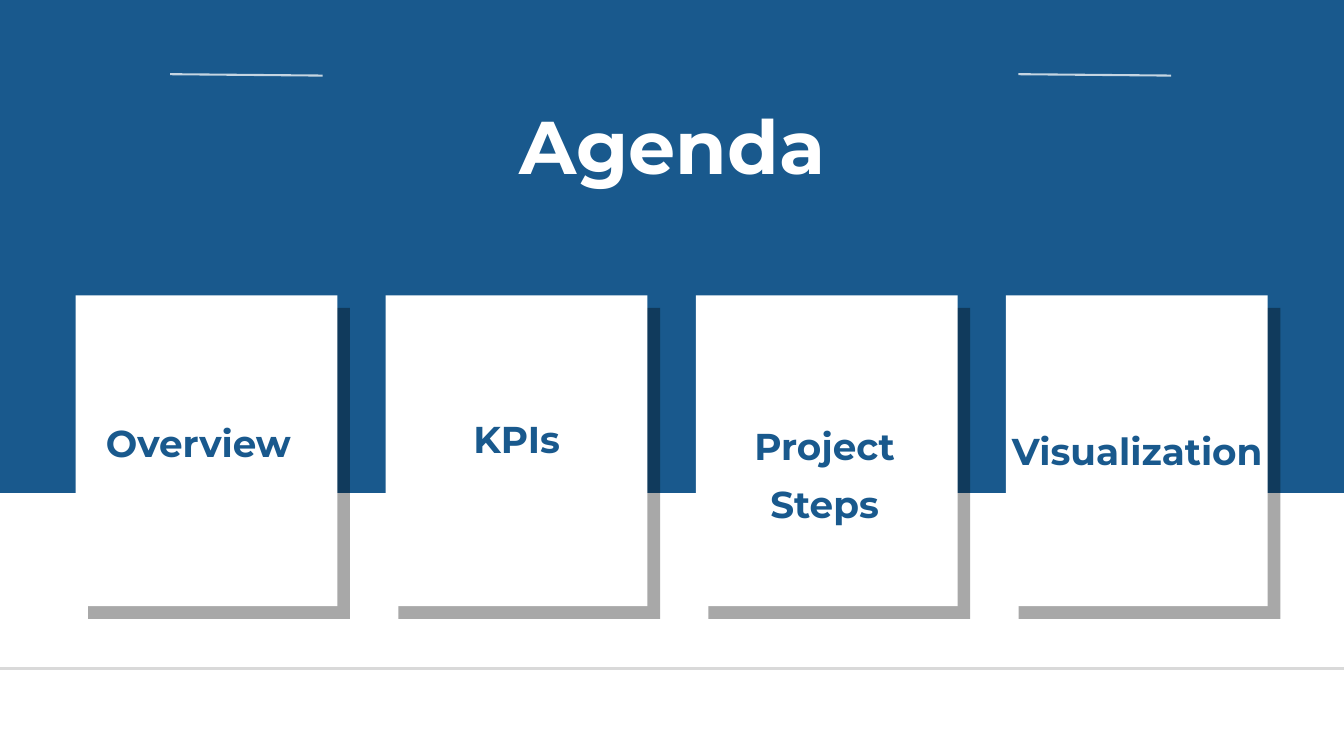
from pptx import Presentation
from pptx.dml.color import RGBColor
from pptx.enum.shapes import MSO_CONNECTOR, MSO_SHAPE
from pptx.enum.text import MSO_AUTO_SIZE, PP_ALIGN
from pptx.oxml.ns import qn
from pptx.util import Pt
from lxml.etree import SubElement

PX = 9525
COLORS = {"blue": "19598D", "white": "FFFFFF", "shadow": "000000", "rule": "D9D9D9"}

presentation = Presentation()
presentation.slide_width = 1920 * PX
presentation.slide_height = 1080 * PX
slide = presentation.slides.add_slide(presentation.slide_layouts[6])


def set_color(fill, color, opacity=100):
    fill.solid()
    fill.fore_color.rgb = RGBColor.from_string(COLORS[color])
    if opacity < 100:
        color_element = fill._xPr.find(qn("a:solidFill"))[0]
        SubElement(color_element, qn("a:alpha")).set("val", str(opacity * 1000))


def add_rectangle(left, top, width, height, color, opacity=100):
    shape = slide.shapes.add_shape(
        MSO_SHAPE.RECTANGLE, left * PX, top * PX, width * PX, height * PX
    )
    shape.shadow.inherit = False
    shape.line.fill.background()
    set_color(shape.fill, color, opacity)


add_rectangle(-72, -16, 2064, 720, "blue")

card_lefts = [108 + 443 * column for column in range(4)]
for offset, color, opacity in [(18, "shadow", 34), (0, "white", 100)]:
    for left in card_lefts:
        add_rectangle(left + offset, 422 + offset, 374, 444, color, opacity)

labels = [
    ("Agenda", 539, 164, 844, 111, 80, 80, "white"),
    ("Overview", 85, 564, 397, 90, 40, 75.6, "blue"),
    ("KPIs", 527, 574, 422, 79, 40, 63, "blue"),
    ("Project Steps", 1016, 584, 324, 163, 40, 63, "blue"),
    ("Visualization", 1423, 596, 403, 75, 40, 60.2, "blue"),
]
for text, left, top, width, height, size, spacing, color in labels:
    text_box = slide.shapes.add_textbox(left * PX, top * PX, width * PX, height * PX)
    text_frame = text_box.text_frame
    text_frame.word_wrap = True
    text_frame.auto_size = MSO_AUTO_SIZE.SHAPE_TO_FIT_TEXT
    text_frame.margin_left = text_frame.margin_right = 0
    text_frame.margin_top = text_frame.margin_bottom = 0
    text_frame.text = text
    paragraph = text_frame.paragraphs[0]
    paragraph.alignment = PP_ALIGN.CENTER
    paragraph.line_spacing = Pt(spacing)
    font = paragraph.runs[0].font
    font.name = "Montserrat"
    font.size = Pt(size)
    font.bold = True
    font.color.rgb = RGBColor.from_string(COLORS[color])

rules = [
    (1455, 106, 1673, 108, "white", 75),
    (461, 108, 243, 106, "white", 75),
    (-30, 955, 1950, 955, "rule", 100),
]
for start_x, start_y, end_x, end_y, color, opacity in rules:
    connector = slide.shapes.add_connector(
        MSO_CONNECTOR.STRAIGHT, start_x * PX, start_y * PX, end_x * PX, end_y * PX
    )
    connector.line.width = Pt(2.25)
    set_color(connector.line.fill, color, opacity)
    SubElement(connector._element.spPr, qn("a:effectLst"))

presentation.save("out.pptx")
